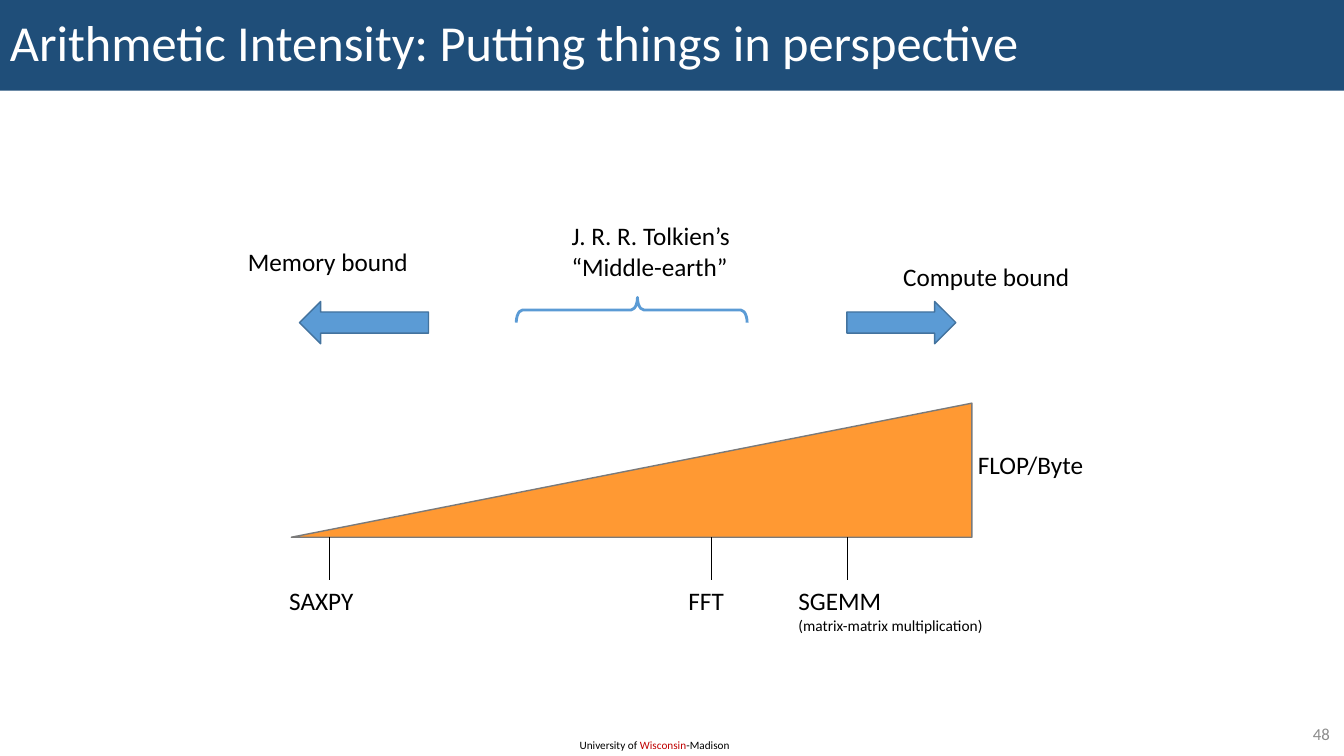
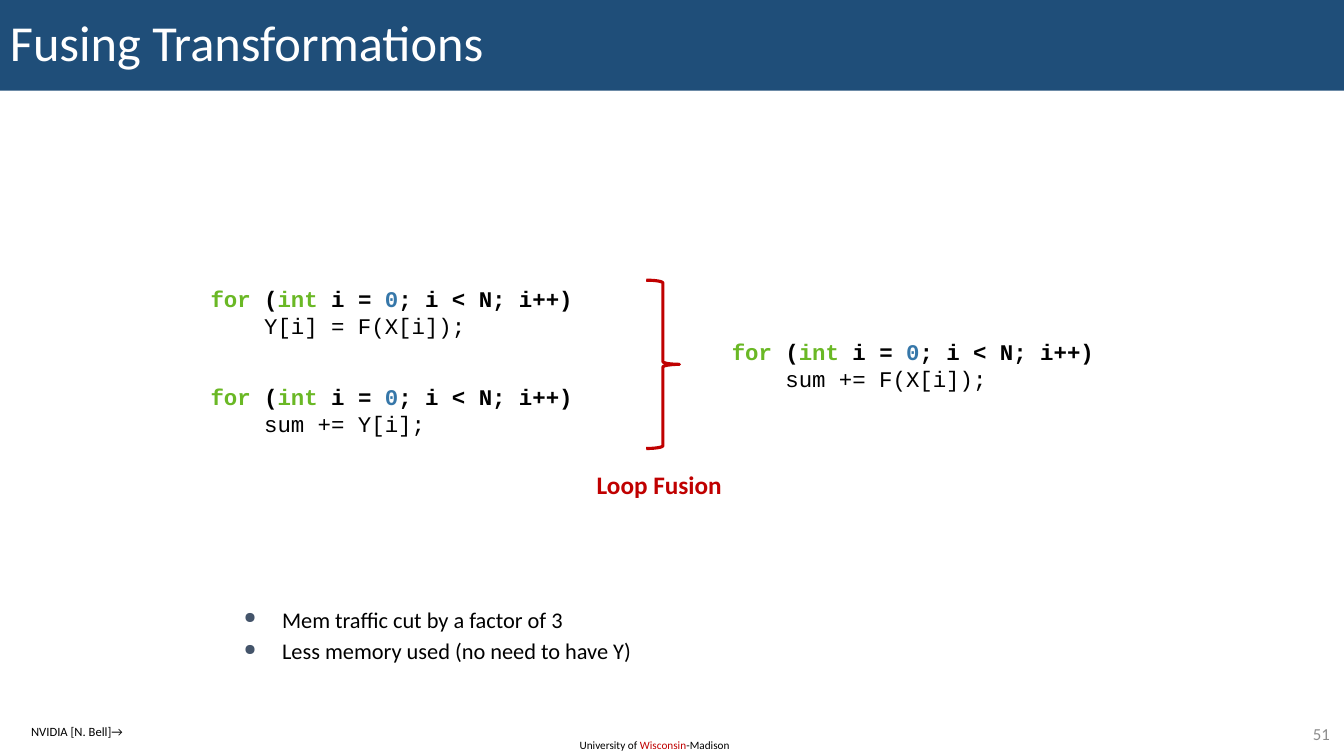
import dataclasses

import pptx
import pptx.dml.color
import pptx.enum.shapes
import pptx.enum.text
import pptx.oxml.ns
import pptx.util
from lxml import etree

Inches = pptx.util.Inches
SHAPE = pptx.enum.shapes.MSO_SHAPE
ALIGN = pptx.enum.text.PP_ALIGN
ANCHOR = pptx.enum.text.MSO_ANCHOR


@dataclasses.dataclass(frozen=True)
class Theme:
    """Colours, fonts and type sizes of the deck."""
    font: str = "Calibri"
    code_font: str = "Courier New"
    white: str = "FFFFFF"
    black: str = "000000"
    band: str = "1F4E79"
    red: str = "C00000"
    grey: str = "8C8C8C"
    blue: str = "5B9BD5"
    blue_edge: str = "43739E"
    orange: str = "FF9933"
    orange_edge: str = "7A7A7A"
    keyword: str = "6AB825"
    number: str = "3677A9"
    bullet: str = "44546A"
    title_size: int = 36
    label_size: int = 18
    body_size: int = 16
    page_size: int = 12
    note_size: int = 11
    credit_size: int = 9
    footer_size: int = 8


THEME = Theme()


@dataclasses.dataclass(frozen=True)
class Box:
    """A rectangle in inches."""
    left: float
    top: float
    width: float
    height: float

    def inner(self, left, top, width, height):
        """Return a box offset from this one's corner."""
        return Box(self.left + left, self.top + top, width, height)

    def lengths(self):
        """Return the four measures as lengths."""
        return [Inches(value) for value in dataclasses.astuple(self)]


@dataclasses.dataclass(frozen=True)
class Span:
    """A run of text with one look."""
    text: str
    size: int = THEME.label_size
    color: str = THEME.black
    bold: bool = False
    font: str = THEME.font


SLIDE = Box(0, 0, 13.33, 7.5)


def rgb(color):
    """Turn a hex string into a colour."""
    return pptx.dml.color.RGBColor.from_string(color)


def fill_frame(frame, paragraphs):
    """Write paragraphs of spans into a text frame."""
    for index, spans in enumerate(paragraphs):
        para = frame.add_paragraph() if index else frame.paragraphs[0]
        for span in spans:
            run = para.add_run()
            run.text = span.text
            run.font.name = span.font
            run.font.size = pptx.util.Pt(span.size)
            run.font.bold = span.bold
            run.font.color.rgb = rgb(span.color)


def add_text(page, box, paragraphs, wrap=False):
    """Add a text box and return its frame."""
    frame = page.shapes.add_textbox(*box.lengths()).text_frame
    frame.word_wrap = wrap
    fill_frame(frame, paragraphs)
    return frame


def add_figure(page, kind, box, fill=None, line=None, weight=1):
    """Add a flat preset shape."""
    shape = page.shapes.add_shape(kind, *box.lengths())
    shape.shadow.inherit = False
    if fill:
        shape.fill.solid()
        shape.fill.fore_color.rgb = rgb(fill)
    else:
        shape.fill.background()
    if line:
        shape.line.color.rgb = rgb(line)
        shape.line.width = pptx.util.Pt(weight)
    else:
        shape.line.fill.background()
    return shape


def add_brace(page, box, color, weight, adjustments):
    """Add a right brace outline."""
    brace = add_figure(page, SHAPE.RIGHT_BRACE, box, line=color, weight=weight)
    for index, value in enumerate(adjustments):
        brace.adjustments[index] = value
    return brace


def add_tick(page, left, top, height):
    """Add a thin vertical line."""
    line = page.shapes.add_connector(
        pptx.enum.shapes.MSO_CONNECTOR.STRAIGHT,
        Inches(left), Inches(top), Inches(left), Inches(top + height))
    line.line.color.rgb = rgb(THEME.black)
    line.line.width = pptx.util.Pt(0.5)
    properties = line._element.spPr
    etree.SubElement(properties, pptx.oxml.ns.qn("a:effectLst"))


def add_page(deck, title, number):
    """Add a page with title band, footer and page number."""
    page = deck.slides.add_slide(deck.slide_layouts[6])
    footer = [Span("University of ", THEME.footer_size),
              Span("Wisconsin", THEME.footer_size, THEME.red),
              Span("-Madison", THEME.footer_size)]
    add_text(page, SLIDE.inner(5.65, 7.28, 1.72, 0.24), [footer], wrap=True)
    band = add_figure(page, SHAPE.RECTANGLE,
                      SLIDE.inner(0, 0, SLIDE.width, 0.9), THEME.band)
    frame = band.text_frame
    frame.word_wrap = True
    frame.vertical_anchor = ANCHOR.MIDDLE
    fill_frame(frame, [[Span(title, THEME.title_size, THEME.white)]])
    frame.paragraphs[0].alignment = ALIGN.LEFT
    frame.paragraphs[0].line_spacing = 0.9
    frame = add_text(page, SLIDE.inner(12.53, 7.13, 0.76, 0.29),
                     [[Span(number, THEME.page_size, THEME.grey)]], wrap=True)
    frame.vertical_anchor = ANCHOR.MIDDLE
    frame.paragraphs[0].alignment = ALIGN.RIGHT
    return page


def add_regimes(page, box):
    """Add the memory, middle and compute regimes."""
    labels = [
        (["Memory bound"], (0, 0.25, 1.81, 0.4)),
        (["J. R. R. Tolkien’s", "“Middle-earth”"], (3.21, 0, 1.85, 0.71)),
        (["Compute bound"], (6.5, 0.4, 1.87, 0.4)),
    ]
    for lines, place in labels:
        add_text(page, box.inner(*place), [[Span(line)] for line in lines])
    arrows = [(SHAPE.LEFT_ARROW, 0.61, 1.28), (SHAPE.RIGHT_ARROW, 6.04, 1.08)]
    for kind, left, width in arrows:
        add_figure(page, kind, box.inner(left, 0.85, width, 0.42),
                   THEME.blue, THEME.blue_edge)
    brace = add_brace(page, box.inner(3.78, -0.21, 0.25, 2.29),
                      THEME.blue, 2, (0.253, 0.525))
    brace.rotation = 270


def add_wedge(page, box):
    """Add the intensity wedge with its marked algorithms."""
    wedge = add_figure(page, SHAPE.RIGHT_TRIANGLE, box,
                       THEME.orange, THEME.orange_edge)
    wedge._element.spPr.xfrm.set("flipH", "1")
    add_text(page, box.inner(box.width - 0.04, 0.41, 1.26, 0.4),
             [[Span("FLOP/Byte")]])
    note = Span("(matrix-matrix multiplication)", THEME.note_size)
    marks = [
        (0.38, -0.12, 0.84, 0.4, [[Span("SAXPY")]]),
        (4.17, 3.84, 0.56, 0.4, [[Span("FFT")]]),
        (5.51, 4.93, 2.05, 0.59, [[Span("SGEMM")], [note]]),
    ]
    for tick, left, width, height, paragraphs in marks:
        add_tick(page, box.left + tick, box.top + box.height, 0.42)
        add_text(page, box.inner(left, box.height + 0.43, width, height),
                 paragraphs)


def add_loop(page, box, body):
    """Add a highlighted loop with one body line."""
    head = [("for", THEME.keyword), (" (", THEME.black),
            ("int", THEME.keyword), (" i = ", THEME.black),
            ("0", THEME.number), ("; i < N; i++)", THEME.black)]
    spans = [Span(text, THEME.body_size, color, True, THEME.code_font)
             for text, color in head]
    line = Span("    " + body, THEME.body_size, font=THEME.code_font)
    add_text(page, box, [spans, [line]], wrap=True)


def add_fusion(page, box):
    """Add two loops, a brace and the fused loop."""
    loops = [(0, 0, "Y[i] = F(X[i]);"), (0, 0.97, "sum += Y[i];"),
             (5.17, 0.53, "sum += F(X[i]);")]
    for left, top, body in loops:
        add_loop(page, box.inner(left, top, 5, 0.64), body)
    add_brace(page, box.inner(4.42, 0, 0.33, 1.67), THEME.red, 2.25,
              (0.083, 0.5))
    add_text(page, box.inner(3.83, 1.83, 1.45, 0.4),
             [[Span("Loop Fusion", color=THEME.red, bold=True)]])


def add_bullets(page, box, lines):
    """Add a bulleted list."""
    frame = add_text(page, box,
                     [[Span(line, THEME.body_size)] for line in lines],
                     wrap=True)
    for index, para in enumerate(frame.paragraphs):
        properties = para._p.get_or_add_pPr()
        properties.set("marL", str(Inches(0.38)))
        properties.set("indent", str(Inches(-0.38)))
        color = etree.SubElement(properties, pptx.oxml.ns.qn("a:buClr"))
        etree.SubElement(color, pptx.oxml.ns.qn("a:srgbClr"), val=THEME.bullet)
        etree.SubElement(properties, pptx.oxml.ns.qn("a:buSzPct"), val="70000")
        etree.SubElement(properties, pptx.oxml.ns.qn("a:buChar"), char="●")
        if index:
            para.space_before = pptx.util.Pt(0.2 * THEME.body_size)


def build_intensity(deck):
    """Build the arithmetic intensity page."""
    page = add_page(
        deck, "Arithmetic Intensity: Putting things in perspective", "48")
    add_wedge(page, SLIDE.inner(2.89, 4, 6.75, 1.33))
    add_regimes(page, SLIDE.inner(2.36, 2.14, 8.37, 1.27))


def build_fusing(deck):
    """Build the loop fusion page."""
    page = add_page(deck, "Fusing Transformations", "51")
    add_fusion(page, SLIDE.inner(1.99, 2.78, 10.17, 2.23))
    add_text(page, SLIDE.inner(0.21, 7.13, 1.11, 0.25),
             [[Span("NVIDIA [N. Bell]→", THEME.credit_size)]])
    add_bullets(page, SLIDE.inner(2.32, 5.96, 9.5, 0.9),
                ["Mem traffic cut by a factor of 3",
                 "Less memory used (no need to have Y)"])


def main():
    """Build and save the deck."""
    deck = pptx.Presentation()
    deck.slide_width = Inches(SLIDE.width)
    deck.slide_height = Inches(SLIDE.height)
    build_intensity(deck)
    build_fusing(deck)
    deck.save("out.pptx")


if __name__ == "__main__":
    main()
